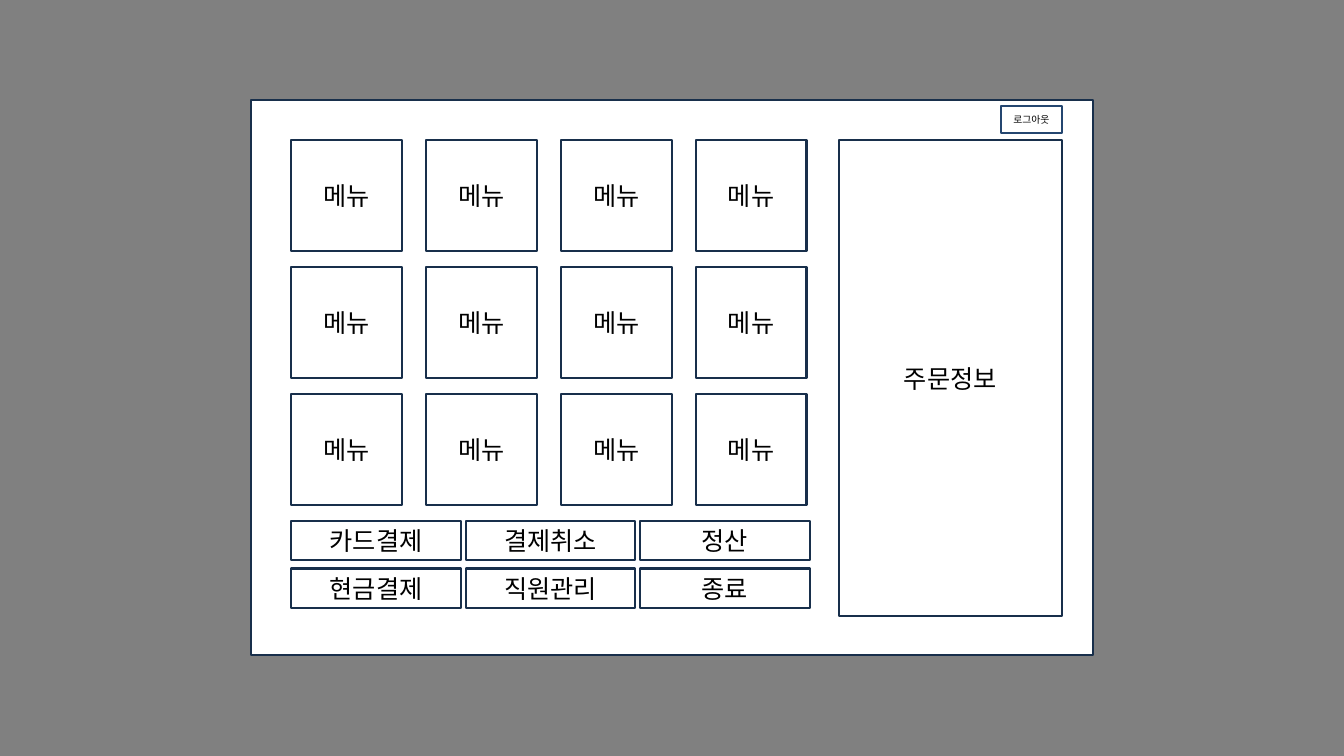
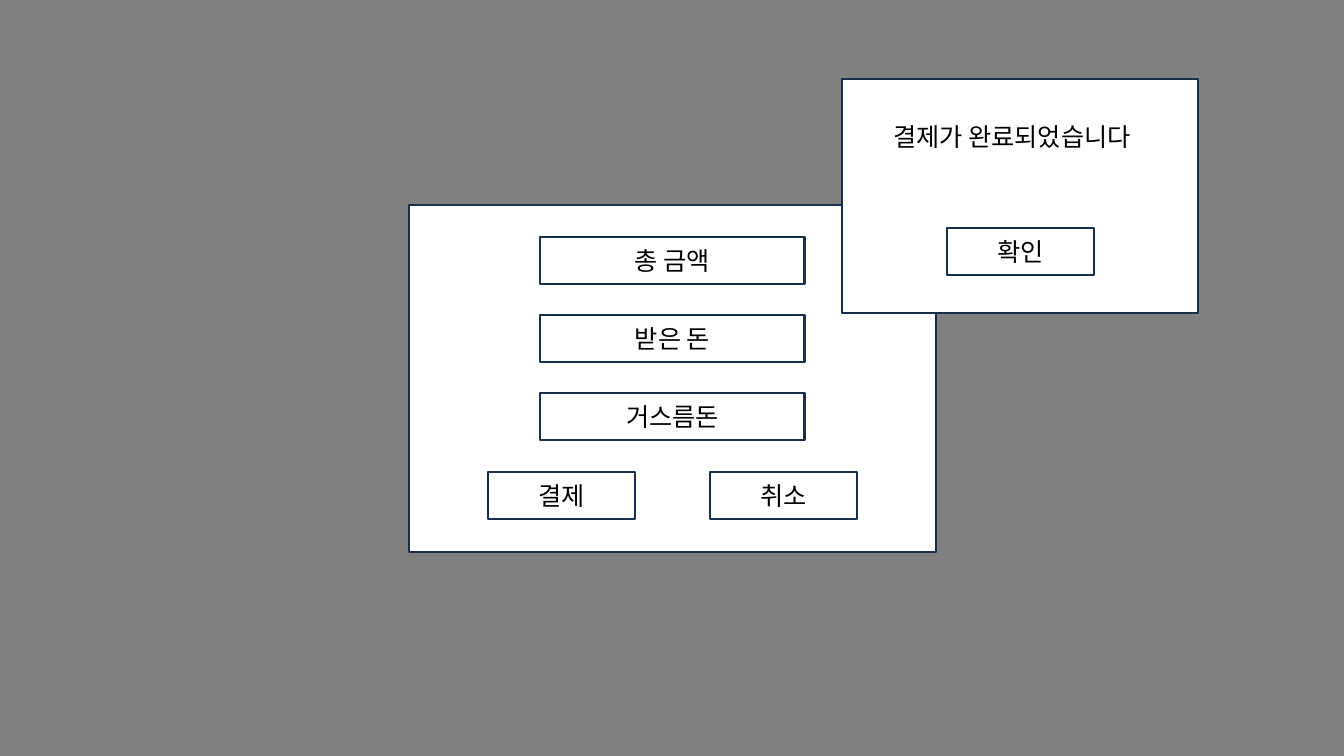
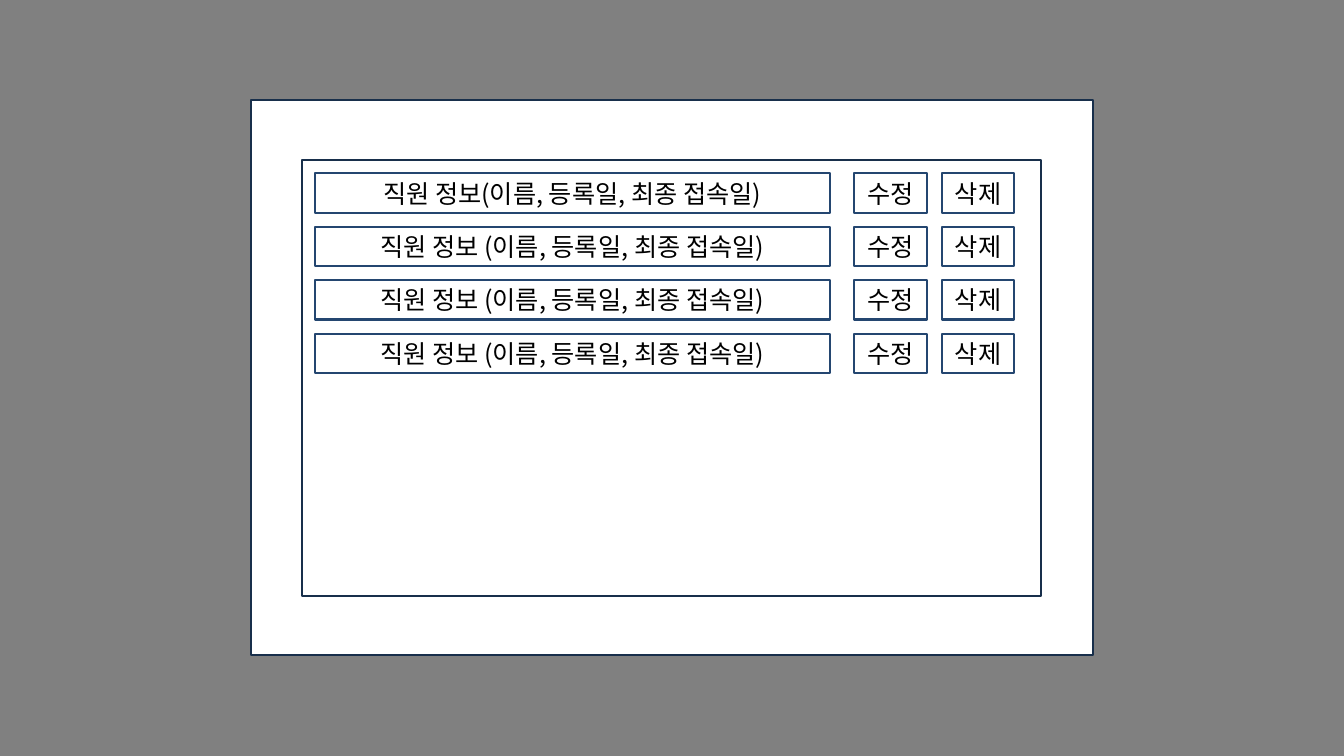
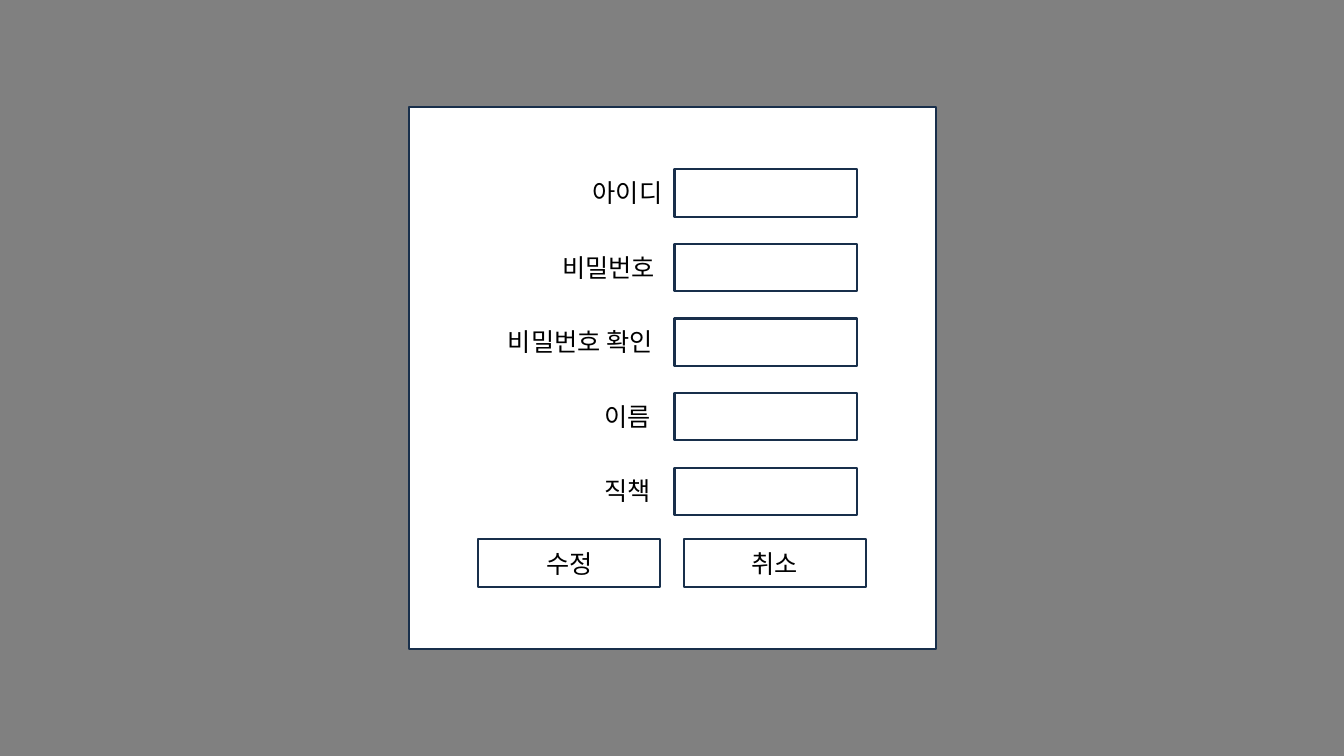
from dataclasses import dataclass, replace

import pptx
import pptx.dml.color
import pptx.enum.shapes
import pptx.enum.text
import pptx.oxml
import pptx.oxml.ns
import pptx.slide
import pptx.text.text
import pptx.util

FONT = "Noto Sans CJK KR"
BACKDROP, PAPER, INK = "808080", "FFFFFF", "000000"
NAVY, BLUE = "182F4B", "244670"
BODY_SIZE, SMALL_SIZE = 18, 7
BLANK_LAYOUT = 6


@dataclass(frozen=True)
class Box:
    """A place on the slide, in inches."""
    left: float
    top: float
    width: float
    height: float

    def emu(self) -> list[int]:
        return [pptx.util.Inches(side) for side in
                (self.left, self.top, self.width, self.height)]


MAIN_WINDOW = Box(2.49, 0.99, 8.35, 5.51)


def color(hex_value: str) -> pptx.dml.color.RGBColor:
    return pptx.dml.color.RGBColor.from_string(hex_value)


def spread(first: float, last: float, count: int) -> list[float]:
    """Equally spaced positions from first to last."""
    return [first + (last - first) * i / (count - 1) for i in range(count)]


def write(frame: pptx.text.text.TextFrame, text: str, size: float = BODY_SIZE,
          centered: bool = True) -> None:
    frame.text = text
    frame.word_wrap = True
    paragraph = frame.paragraphs[0]
    align = pptx.enum.text.PP_ALIGN
    paragraph.alignment = align.CENTER if centered else align.LEFT
    for run in paragraph.runs:
        run.font.name = FONT
        run.font.size = pptx.util.Pt(size)
        run.font.color.rgb = color(INK)
        # Hangul takes its typeface from a:ea, not from a:latin.
        east_asian = pptx.oxml.parse_xml(
            f'<a:ea {pptx.oxml.ns.nsdecls("a")} typeface="{FONT}"/>')
        run.font._element.find(pptx.oxml.ns.qn("a:latin")).addnext(east_asian)


def draw_panel(slide: pptx.slide.Slide, box: Box, text: str = "",
               line: str = NAVY, size: float = BODY_SIZE) -> None:
    """A white outlined rectangle: window, button or field."""
    panel = slide.shapes.add_shape(
        pptx.enum.shapes.MSO_SHAPE.RECTANGLE, *box.emu())
    panel.shadow.inherit = False
    panel.fill.solid()
    panel.fill.fore_color.rgb = color(PAPER)
    panel.line.color.rgb = color(line)
    panel.line.width = pptx.util.Pt(1.5)
    if text:
        write(panel.text_frame, text, size)


def draw_label(slide: pptx.slide.Slide, box: Box, text: str,
               centered: bool = True) -> None:
    label = slide.shapes.add_textbox(*box.emu())
    write(label.text_frame, text, centered=centered)


def build_order_screen(slide: pptx.slide.Slide) -> None:
    draw_panel(slide, MAIN_WINDOW)
    for left in spread(2.89, 6.9, 4):
        for top in spread(1.39, 3.91, 3):
            draw_panel(slide, Box(left, top, 1.1, 1.1), "메뉴")
    draw_panel(slide, Box(8.32, 1.39, 2.21, 4.72), "주문정보")

    commands = (("카드결제", "결제취소", "정산"),
                ("현금결제", "직원관리", "종료"))
    for top, row in zip((5.17, 5.64), commands):
        for left, command in zip(spread(2.89, 6.35, 3), row):
            draw_panel(slide, Box(left, top, 1.68, 0.39), command)
    draw_panel(slide, Box(9.93, 1.05, 0.6, 0.27), "로그아웃", BLUE, SMALL_SIZE)


def build_payment_screen(slide: pptx.slide.Slide) -> None:
    draw_panel(slide, Box(4.06, 2.03, 5.22, 3.45))
    for top, amount in zip(spread(2.35, 3.9, 3), ("총 금액", "받은 돈", "거스름돈")):
        draw_panel(slide, Box(5.36, top, 2.62, 0.47), amount)
    button = Box(4.84, 4.68, 1.46, 0.47)
    draw_panel(slide, button, "결제")
    draw_panel(slide, replace(button, left=7.04), "취소")

    draw_panel(slide, Box(8.35, 0.78, 3.53, 2.33))
    draw_label(slide, Box(8.76, 1.15, 2.73, 0.4), "결제가 완료되었습니다",
               centered=False)
    draw_panel(slide, replace(button, left=9.39, top=2.26), "확인")


def build_staff_screen(slide: pptx.slide.Slide) -> None:
    draw_panel(slide, MAIN_WINDOW)
    draw_panel(slide, Box(3, 1.59, 7.33, 4.32))
    details = "(이름, 등록일, 최종 접속일)"
    staff = ["직원 정보" + details] + ["직원 정보 " + details] * 3
    for top, member in zip(spread(1.72, 3.31, len(staff)), staff):
        for left, width, text in ((3.12, 5.11, member),
                                  (8.47, 0.72, "수정"), (9.34, 0.72, "삭제")):
            draw_panel(slide, Box(left, top, width, 0.39), text, BLUE)


def build_edit_screen(slide: pptx.slide.Slide) -> None:
    draw_panel(slide, Box(4.06, 1.06, 5.22, 5.38))
    label_widths = {"아이디": 0.93, "비밀번호": 1.31, "비밀번호 확인": 1.87,
                    "이름": 0.93, "직책": 0.93}
    field = Box(6.69, 1.68, 1.81, 0.47)
    tops = spread(field.top, 4.64, len(label_widths))
    for top, (label, width) in zip(tops, label_widths.items()):
        draw_panel(slide, replace(field, top=top))
        draw_label(slide, Box(field.left - width, top + 0.03, width, 0.4), label)
    for left, command in ((4.74, "수정"), (6.78, "취소")):
        draw_panel(slide, replace(field, left=left, top=5.35), command)


def main() -> None:
    deck = pptx.Presentation()
    deck.slide_width = pptx.util.Inches(13.33)
    deck.slide_height = pptx.util.Inches(7.5)
    backdrop = deck.slide_master.background.fill
    backdrop.solid()
    backdrop.fore_color.rgb = color(BACKDROP)
    for build in (build_order_screen, build_payment_screen,
                  build_staff_screen, build_edit_screen):
        build(deck.slides.add_slide(deck.slide_layouts[BLANK_LAYOUT]))
    deck.save("out.pptx")


if __name__ == "__main__":
    main()
